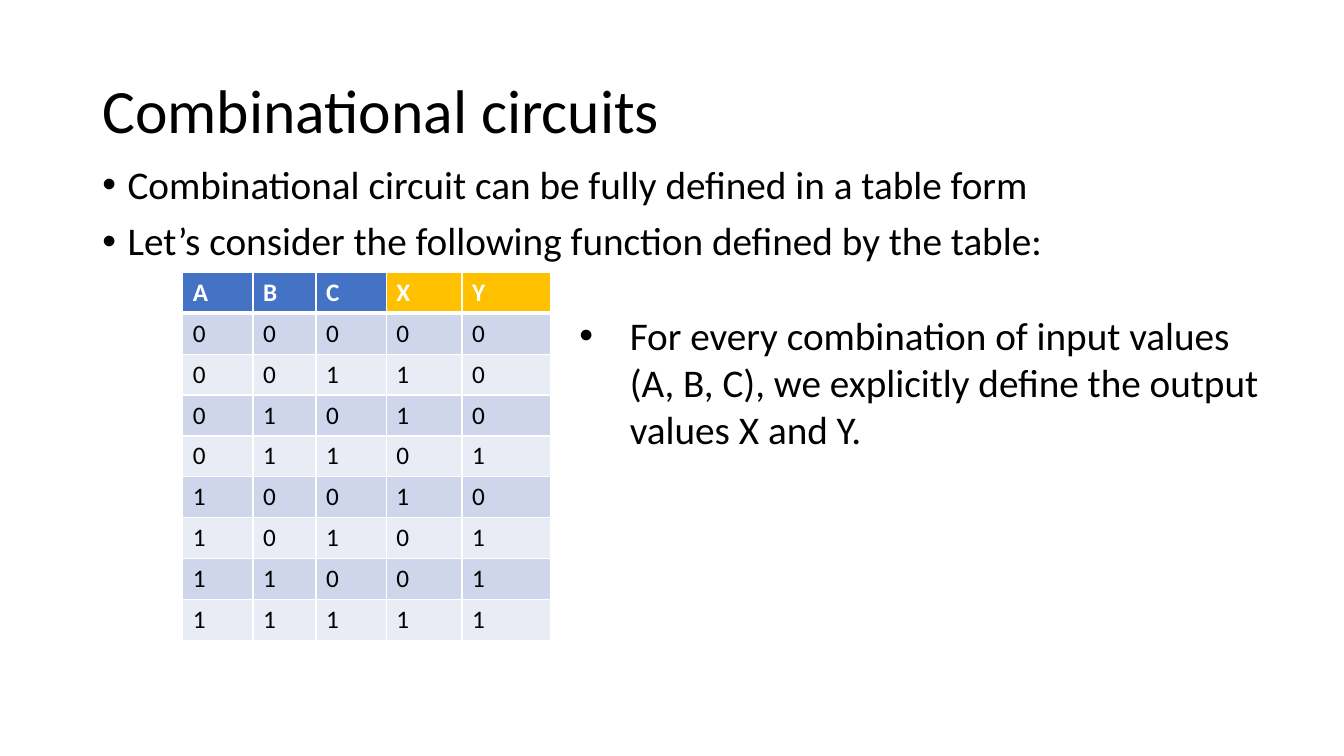
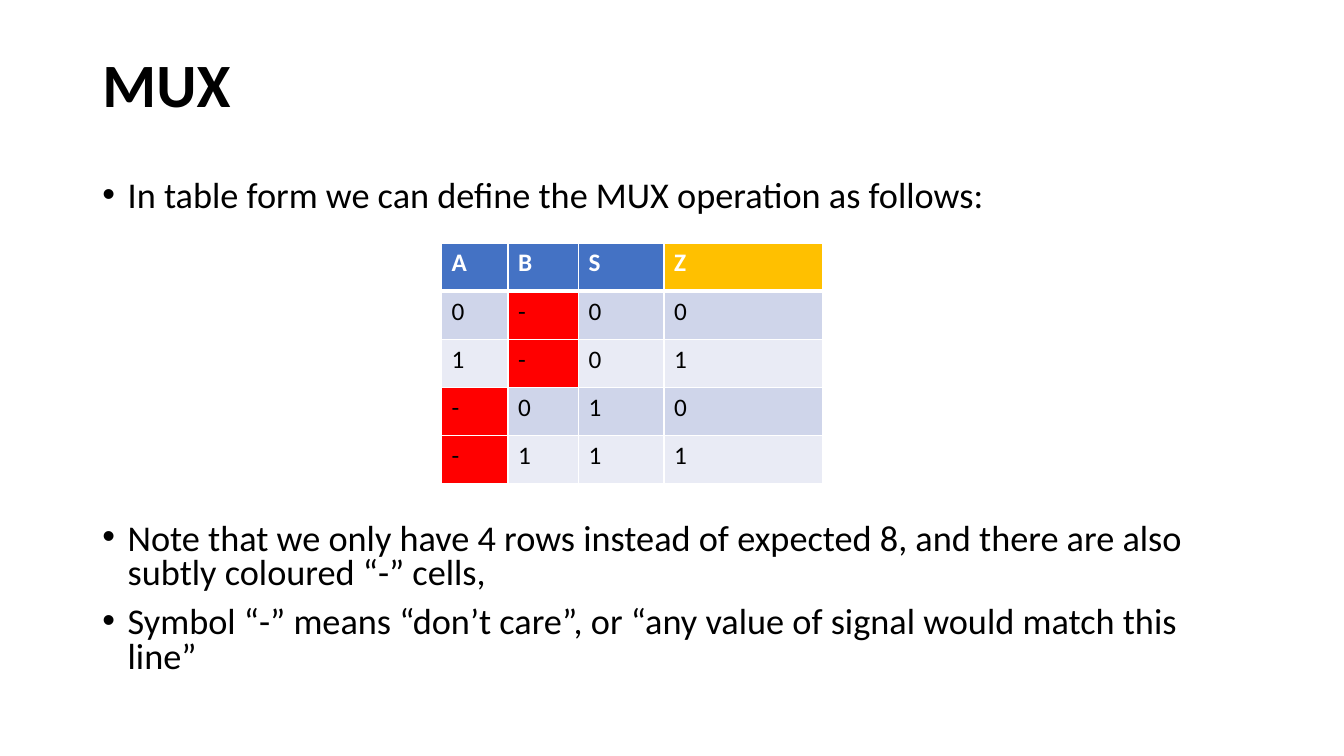
from lxml.etree import SubElement
from pptx import Presentation
from pptx.dml.color import RGBColor
from pptx.enum.text import MSO_ANCHOR, MSO_AUTO_SIZE, PP_ALIGN
from pptx.oxml.ns import qn
from pptx.util import Pt

FONT = "Calibri"
COLORS = {
    "text": "000000", "white": "FFFFFF", "input": "4472C4", "output": "FFC000",
    "odd": "CFD5EA", "even": "E9EBF5", "ignored": "FF0000",
}
LEFT, WIDTH, TITLE_HEIGHT = 66, 828, 104.4

# Bullets are (space before, text); each truth table row is one string.
SLIDES = [
    {
        "title": "Combinational circuits", "title_top": 28.8, "title_bold": False,
        "body_top": 114.5, "body_height": 342.7, "size": 28, "line_spacing": 0.9,
        "bullets": [
            (0, "Combinational circuit can be fully defined in a table form"),
            (10, "Let’s consider the following function defined by the table:"),
        ],
        "table": {
            "left": 130.5, "top": 194.6, "row_height": 29.2,
            "widths": [50.2, 45, 50.2, 54.2, 63.4],
            "inputs": "ABC", "outputs": "XY",
            "rows": ["00000", "00110", "01010", "01101",
                     "10010", "10101", "11001", "11111"],
        },
        "side_note": "For every combination of input values (A, B, C), "
                     "we explicitly define the output values X and Y.",
    },
    {
        "title": "MUX", "title_top": 10, "title_bold": True,
        "body_top": 125.3, "body_height": 373.7, "size": 25.9, "line_spacing": 0.8,
        "bullets": [
            (0, "In table form we can define the MUX operation as follows:"),
            (220, "Note that we only have 4 rows instead of expected 8, "
                  "and there are also subtly coloured “-” cells,"),
            (10, "Symbol “-” means “don’t care”, or “any value of signal "
                 "would match this line”"),
        ],
        "table": {
            "left": 315.4, "top": 173.5, "row_height": 34.4,
            "widths": [47.5, 50.4, 61, 113.5],
            "inputs": "ABS", "outputs": "Z",
            "rows": ["0-00", "1-01", "-010", "-111"],
        },
    },
]


def rgb(name):
    return RGBColor.from_string(COLORS[name])


def place(shape, left, top, width, height):
    shape.left, shape.top = Pt(left), Pt(top)
    shape.width, shape.height = Pt(width), Pt(height)


def style(para, size, color="text", bold=False):
    para.font.name, para.font.size, para.font.bold = FONT, Pt(size), bold
    para.font.color.rgb = rgb(color)


def add_bullet(para, indent):
    properties = para._p.get_or_add_pPr()
    properties.set("marL", str(Pt(indent)))
    properties.set("indent", str(-Pt(indent)))
    SubElement(properties, qn("a:buFont")).set("typeface", "Arial")
    SubElement(properties, qn("a:buChar")).set("char", "•")


def fill_title(title, content):
    place(title, LEFT, content["title_top"], WIDTH, TITLE_HEIGHT)
    frame = title.text_frame
    frame.text = content["title"]
    frame.vertical_anchor = MSO_ANCHOR.MIDDLE
    frame.auto_size = MSO_AUTO_SIZE.NONE
    para = frame.paragraphs[0]
    para.alignment = PP_ALIGN.LEFT
    para.line_spacing = 0.9
    style(para, 44, bold=content["title_bold"])


def fill_body(body, content):
    place(body, LEFT, content["body_top"], WIDTH, content["body_height"])
    frame = body.text_frame
    frame.text = "\n".join(text for _, text in content["bullets"])
    frame.auto_size = MSO_AUTO_SIZE.NONE
    for para, (space, _) in zip(frame.paragraphs, content["bullets"]):
        para.line_spacing = content["line_spacing"]
        para.space_before = Pt(space)
        add_bullet(para, 18)
        style(para, content["size"])


def add_borders(cell, bottom_width):
    properties = cell._tc.get_or_add_tcPr()
    for side, width in (("L", 1), ("R", 1), ("T", 1), ("B", bottom_width)):
        line = SubElement(properties, qn(f"a:ln{side}"), w=str(Pt(width)))
        fill = SubElement(line, qn("a:solidFill"))
        SubElement(fill, qn("a:srgbClr")).set("val", COLORS["white"])


def add_truth_table(slide, content):
    widths, height = content["widths"], content["row_height"]
    rows = [content["inputs"] + content["outputs"], *content["rows"]]
    table = slide.shapes.add_table(
        len(rows), len(widths), Pt(content["left"]), Pt(content["top"]),
        Pt(sum(widths)), Pt(height * len(rows))).table
    for column, width in zip(table.columns, widths):
        column.width = Pt(width)
    for row_index, values in enumerate(rows):
        table.rows[row_index].height = Pt(height)
        header = row_index == 0
        for column_index, value in enumerate(values):
            if header:
                fill = "input" if value in content["inputs"] else "output"
            elif value == "-":
                fill = "ignored"
            else:
                fill = "odd" if row_index % 2 else "even"
            cell = table.cell(row_index, column_index)
            cell.text = value
            add_borders(cell, 3 if header else 1)
            cell.fill.solid()
            cell.fill.fore_color.rgb = rgb(fill)
            style(cell.text_frame.paragraphs[0], 18,
                  "white" if header else "text", header)


def add_side_note(slide, text):
    box = slide.shapes.add_textbox(Pt(406.8), Pt(218.9), Pt(501), Pt(143.3))
    frame = box.text_frame
    frame.word_wrap = True
    frame.text = text
    para = frame.paragraphs[0]
    add_bullet(para, 36)
    style(para, 28)


def main():
    deck = Presentation()
    deck.slide_width, deck.slide_height = Pt(960), Pt(540)
    for content in SLIDES:
        slide = deck.slides.add_slide(deck.slide_layouts[1])
        fill_title(slide.shapes.title, content)
        fill_body(slide.placeholders[1], content)
        add_truth_table(slide, content["table"])
        if "side_note" in content:
            add_side_note(slide, content["side_note"])
    deck.save("out.pptx")


if __name__ == "__main__":
    main()
